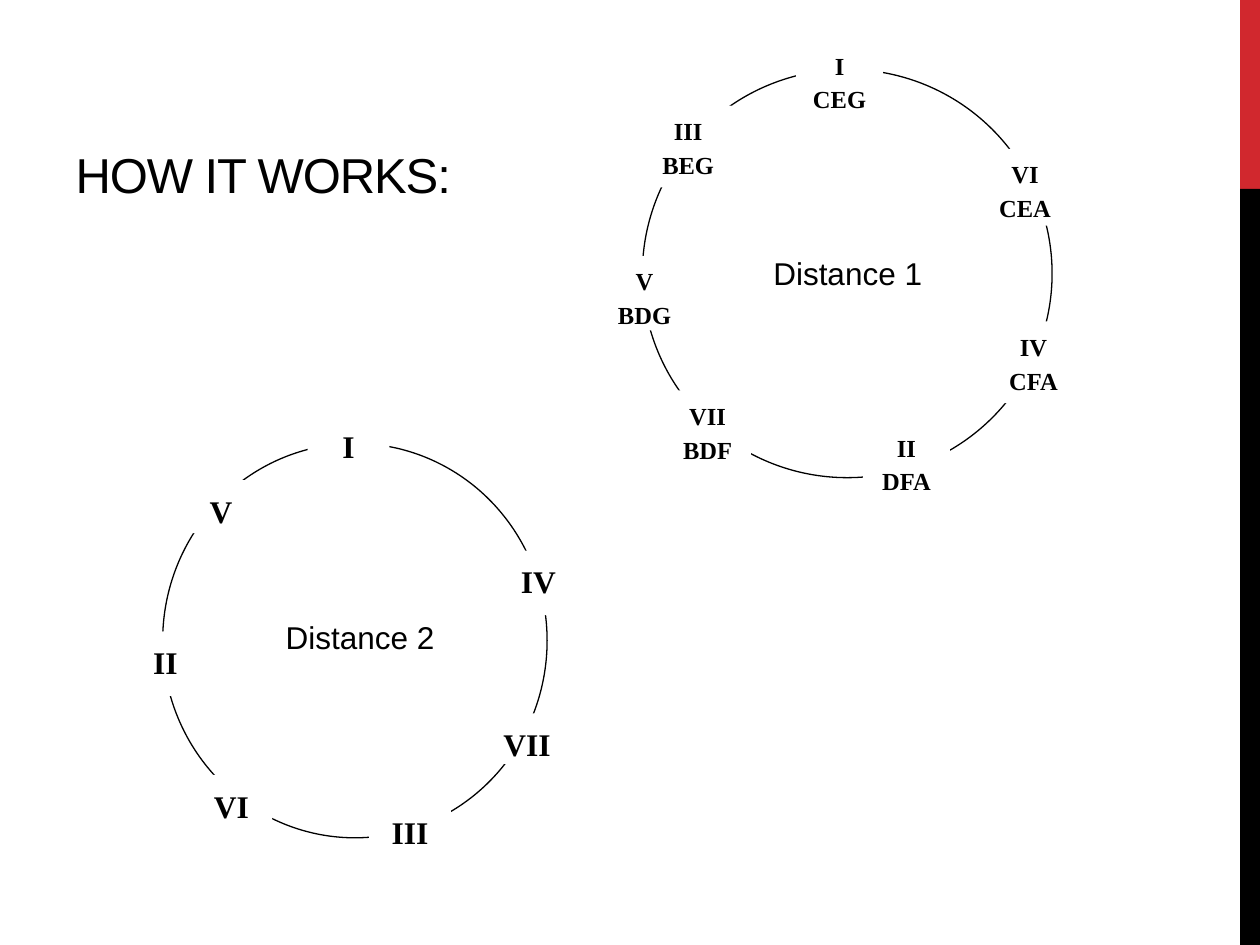
import pptx
import pptx.dml.color
import pptx.enum.shapes
import pptx.enum.text
import pptx.util

Cm = pptx.util.Cm
Pt = pptx.util.Pt
SHAPE = pptx.enum.shapes.MSO_SHAPE
ALIGN = pptx.enum.text.PP_ALIGN
ANCHOR = pptx.enum.text.MSO_ANCHOR

BLACK = pptx.dml.color.RGBColor(0x00, 0x00, 0x00)
WHITE = pptx.dml.color.RGBColor(0xFF, 0xFF, 0xFF)
RED = pptx.dml.color.RGBColor(0xD1, 0x28, 0x2E)


class SlideBuilder:
    sans = "Arial"
    serif = "Times New Roman"

    def __init__(self, slide):
        self.slide = slide

    def set_text(self, text_frame, text, size, font, bold=False):
        paragraph = text_frame.paragraphs[0]
        paragraph.text = text
        for run in paragraph.runs:
            run.font.size = Pt(size)
            run.font.name = font
            run.font.bold = bold
            run.font.color.rgb = BLACK
        return paragraph

    def title(self, text, left, top, width, height):
        title = self.slide.shapes.title
        title.left, title.top = Cm(left), Cm(top)
        title.width, title.height = Cm(width), Cm(height)
        title.text_frame.vertical_anchor = ANCHOR.BOTTOM
        paragraph = self.set_text(title.text_frame, text, 28, self.sans)
        paragraph.alignment = ALIGN.LEFT
        # Letter spacing in hundredths of a point
        paragraph.runs[0]._r.get_or_add_rPr().set("spc", "-60")

    def block(self, parent, left, top, width, height, fill):
        shape = parent.shapes.add_shape(
            SHAPE.RECTANGLE, Cm(left), Cm(top), Cm(width), Cm(height))
        shape.shadow.inherit = False
        shape.fill.solid()
        shape.fill.fore_color.rgb = fill
        shape.line.fill.background()
        return shape

    def ring(self, parent, left, top, width, height):
        shape = parent.shapes.add_shape(
            SHAPE.OVAL, Cm(left), Cm(top), Cm(width), Cm(height))
        shape.shadow.inherit = False
        shape.fill.background()
        shape.line.color.rgb = BLACK
        shape.line.width = Pt(0)

    def chord(self, parent, text, left, top, width, height, size):
        shape = self.block(parent, left, top, width, height, WHITE)
        shape.text_frame.vertical_anchor = ANCHOR.TOP
        paragraph = self.set_text(shape.text_frame, text, size, self.serif, bold=True)
        paragraph.alignment = ALIGN.CENTER
        paragraph.line_spacing = 1.15
        paragraph.space_after = Pt(10)

    def label(self, parent, text, left, top):
        box = parent.shapes.add_textbox(Cm(left), Cm(top), Cm(3.71), Cm(1.02))
        box.text_frame.word_wrap = True
        self.set_text(box.text_frame, text, 18, self.sans)

    def circle(self, name, label_at, ring, chords, size):
        group = self.slide.shapes.add_group_shape()
        group.name = name
        self.ring(group, *ring)
        for text, *box in chords:
            self.chord(group, text, *box, size)
        self.label(group, name, *label_at)


presentation = pptx.Presentation()
presentation.slide_width = Cm(25.4)
presentation.slide_height = Cm(19.05)
builder = SlideBuilder(presentation.slides.add_slide(presentation.slide_layouts[5]))

# Bars on the right edge
builder.block(builder.slide, 25, 0, 0.4, 3.81, RED)
builder.block(builder.slide, 25, 3.81, 0.4, 15.24, BLACK)

builder.title("HOW IT WORKS:", 1.27, 2.11, 15.24, 2.11)

# Lower circle: text, left, top, width, height of each chord
builder.circle("Distance 2", (5.51, 12.34), (3.28, 8.94, 7.75, 7.95), [
    ("I", 6.2, 8.36, 1.65, 1.3),
    ("V", 3.68, 9.68, 1.55, 1.07),
    ("II", 2.51, 12.73, 1.65, 1.3),
    ("VI", 3.84, 15.62, 1.65, 1.3),
    ("III", 7.44, 16.15, 1.65, 1.3),
    ("VII", 9.8, 14.38, 1.65, 1.02),
    ("IV", 10.03, 11.1, 1.65, 1.3),
], 18)

# Upper circle: chords with their notes
builder.circle("Distance 1", (15.34, 5), (12.95, 1.4, 8.26, 8.23), [
    ("I\nCEG", 16.05, 0.81, 1.75, 1.32),
    ("III\nBEG", 13, 2.13, 1.75, 1.65),
    ("V\nBDG", 12.12, 5.16, 1.75, 1.5),
    ("VII\nBDF", 13.39, 7.87, 1.75, 1.32),
    ("II\nDFA", 17.4, 8.51, 1.75, 1.32),
    ("IV\nCFA", 19.96, 6.48, 1.75, 1.65),
    ("VI\nCEA", 19.79, 3, 1.75, 1.55),
], 14)

presentation.save("out.pptx")
